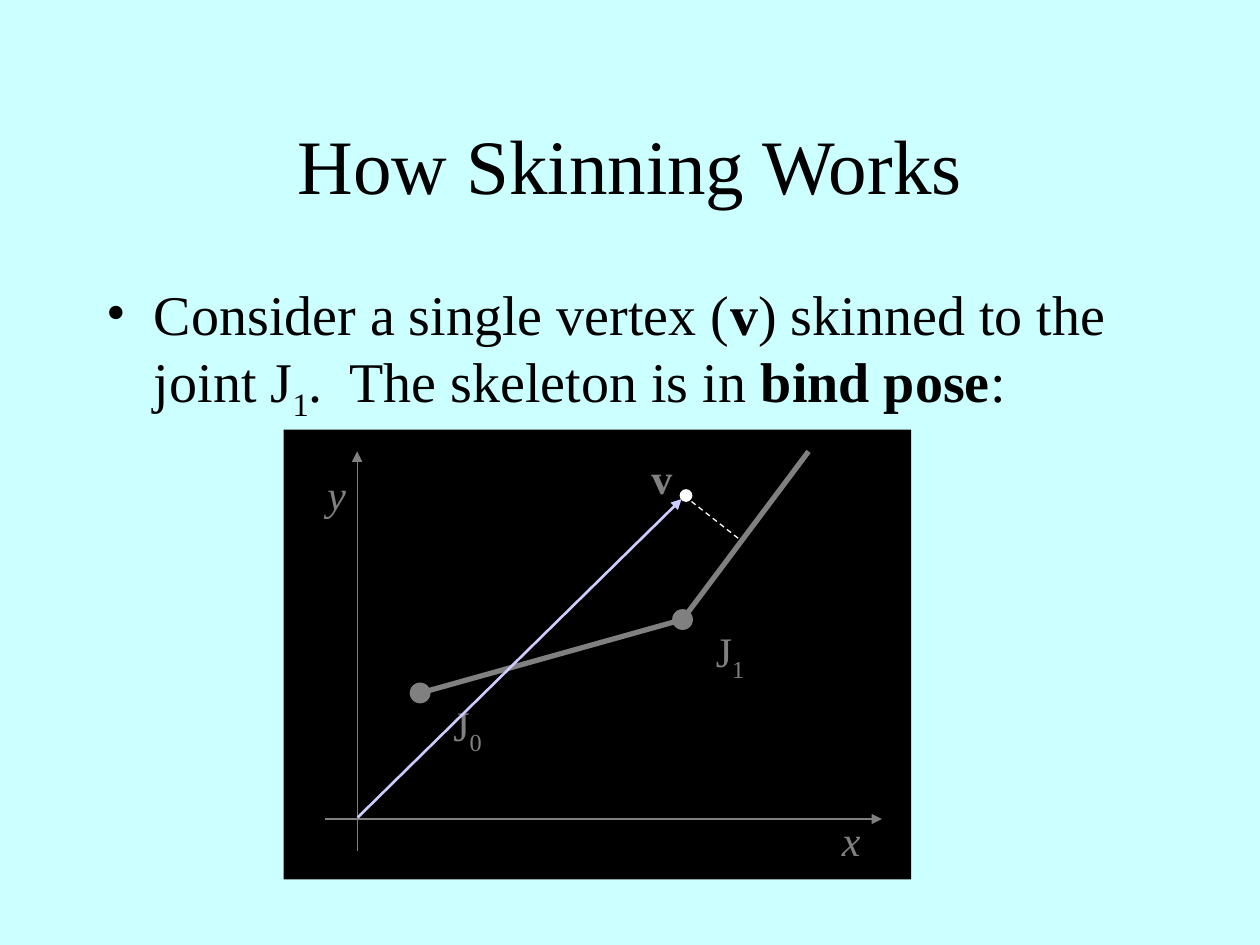
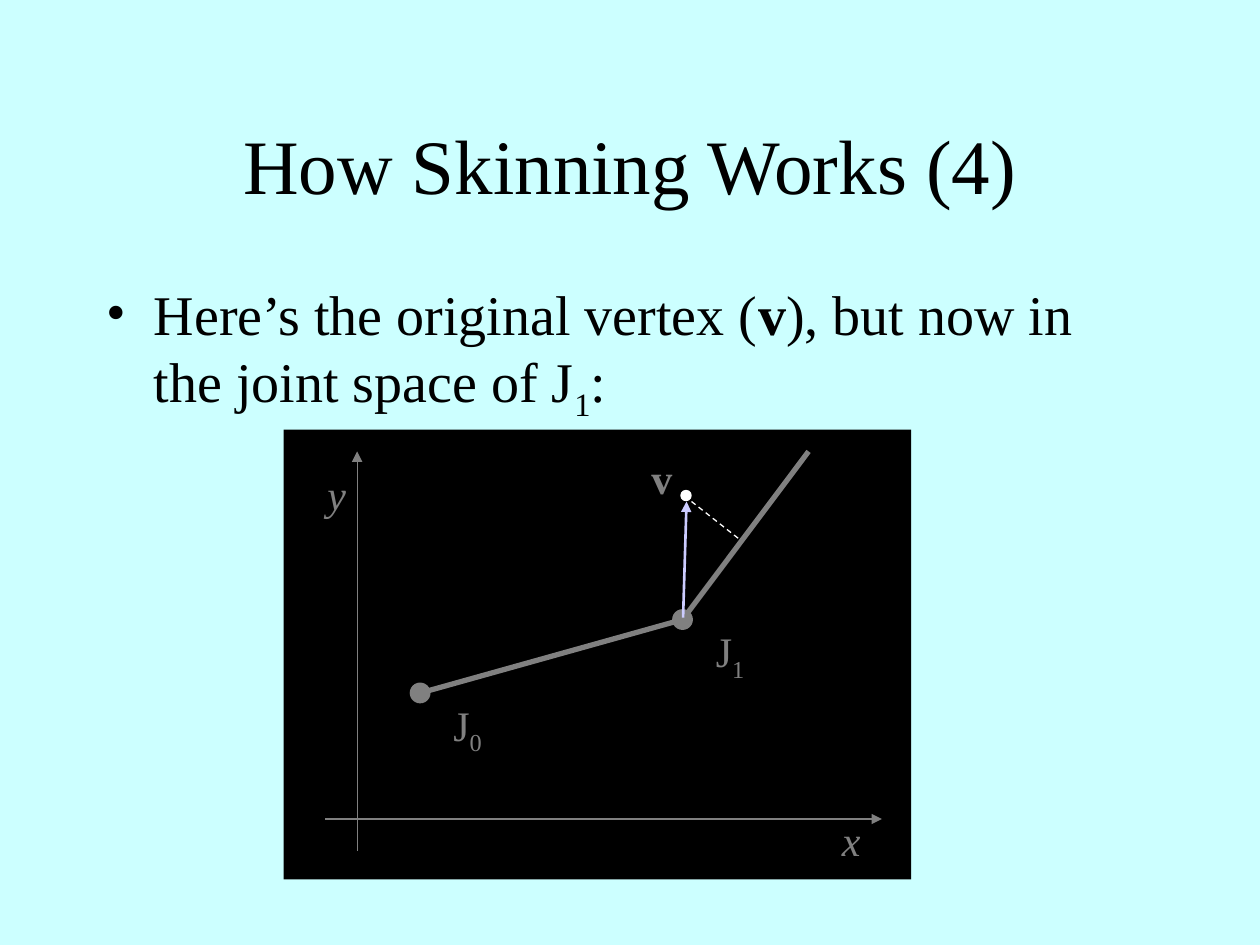
"""Build two slides on how a skinned vertex relates to its joint."""
import pptx
import pptx.dml.color
import pptx.enum.dml
import pptx.enum.shapes
import pptx.enum.text
import pptx.oxml
import pptx.oxml.ns
import pptx.util
from pptx.util import Cm

COLOURS = {"background": "CCFFFF", "panel": "000000", "text": "000000",
           "skeleton": "808080", "vertex": "FFFFFF", "vector": "CCCCFF"}
FONT = "Times New Roman"

SLIDES = [
    {"title": "How Skinning Works",
     "statement": [("Consider a single vertex (", ""), ("v", "bold"),
                   (") skinned to the joint J", ""), ("1", "sub"),
                   (".  The skeleton is in ", ""), ("bind pose", "bold"), (":", "")],
     "vector": ((7.21, 16.48), (13.74, 10.06)), "vertex_outline": True},
    {"title": "How Skinning Works (4)",
     "statement": [("Here’s the original vertex (", ""), ("v", "bold"),
                   ("), but now in the joint space of J", ""), ("1", "sub"), (":", "")],
     "vector": ((13.77, 12.45), (13.84, 10.11)), "vertex_outline": False},
]

TITLE_BOX = (1.9, 1.7, 21.6, 3.18)
STATEMENT_BOX = (1.9, 5.5, 21.6, 11.43)
PANEL_BOX = (5.72, 8.66, 12.65, 9.07)
AXES = [((7.2, 17.15), (7.2, 9.1)), ((6.56, 16.51), (17.78, 16.51))]
JOINTS = [(8.47, 13.97), (13.76, 12.49)]
BONE_END = (16.3, 9.1)
VERTEX = (13.83, 9.99)
OFFSET = ((13.94, 10.11), (14.88, 10.85))
LABELS = [
    ((14.18, 12.49), [("J", ""), ("1", "sub")]),
    ((8.89, 13.97), [("J", ""), ("0", "sub")]),
    ((6.35, 9.31), [("y", "italic")]),
    ((16.72, 16.3), [("x", "italic")]),
    ((12.88, 9.0), [("v", "bold")]),
]


def rgb(name):
    return pptx.dml.color.RGBColor.from_string(COLOURS[name])


def add_xml(parent, tag, **attributes):
    element = pptx.oxml.parse_xml(f"<a:{tag} {pptx.oxml.ns.nsdecls('a')}/>")
    for key, value in attributes.items():
        element.set(key, value)
    parent.append(element)


def write(holder, runs, *, size, colour="text", align="LEFT", anchor="TOP", bullet=False):
    frame = holder.text_frame
    frame.word_wrap = True
    frame.auto_size = pptx.enum.text.MSO_AUTO_SIZE.NONE
    frame.vertical_anchor = getattr(pptx.enum.text.MSO_ANCHOR, anchor)
    paragraph = frame.paragraphs[0]
    if bullet:
        properties = paragraph._p.get_or_add_pPr()
        properties.set("marL", str(Cm(0.95)))
        properties.set("indent", str(-Cm(0.95)))
        add_xml(properties, "buFont", typeface=FONT)
        add_xml(properties, "buChar", char="•")
    paragraph.alignment = getattr(pptx.enum.text.PP_ALIGN, align)
    paragraph.space_before = pptx.util.Pt(0)
    for text, style in runs:
        run = paragraph.add_run()
        run.text = text
        run.font.name = FONT
        run.font.size = pptx.util.Pt(size)
        run.font.color.rgb = rgb(colour)
        run.font.bold = style == "bold"
        run.font.italic = style == "italic"
        if style == "sub":
            run._r.get_or_add_rPr().set("baseline", "-25000")


def place(holder, box):
    holder.left, holder.top, holder.width, holder.height = map(Cm, box)


def add_solid(slide, kind, box, colour, outlined=False):
    preset = getattr(pptx.enum.shapes.MSO_SHAPE, kind)
    solid = slide.shapes.add_shape(preset, *map(Cm, box))
    solid.shadow.inherit = False
    solid.fill.solid()
    solid.fill.fore_color.rgb = rgb(colour)
    if outlined:
        solid.line.color.rgb = rgb(colour)
        solid.line.width = pptx.util.Pt(0.75)
    else:
        solid.line.fill.background()


def add_dot(slide, centre, diameter, colour, outlined=False):
    x, y = centre
    box = (x - diameter / 2, y - diameter / 2, diameter, diameter)
    add_solid(slide, "OVAL", box, colour, outlined)


def add_line(slide, ends, colour, width, arrow=False, dashed=False):
    start, end = ends
    line = slide.shapes.add_connector(
        pptx.enum.shapes.MSO_CONNECTOR.STRAIGHT, *map(Cm, start + end))
    line.line.color.rgb = rgb(colour)
    line.line.width = pptx.util.Pt(width)
    if dashed:
        line.line.dash_style = pptx.enum.dml.MSO_LINE.DASH
    if arrow:
        add_xml(line.line._get_or_add_ln(), "tailEnd", type="triangle")
    add_xml(line._element.spPr, "effectLst")


def draw_skeleton(slide, vector, vertex_outline):
    add_solid(slide, "RECTANGLE", PANEL_BOX, "panel")
    for axis in AXES:
        add_line(slide, axis, "skeleton", 0.75, arrow=True)
    for bone in zip(JOINTS, JOINTS[1:] + [BONE_END]):
        add_line(slide, bone, "skeleton", 3)
    for joint in JOINTS:
        add_dot(slide, joint, 0.42, "skeleton")
    for position, runs in LABELS:
        label = slide.shapes.add_textbox(*map(Cm, position + (1.12, 1.27)))
        label.text_frame.margin_right = 0
        write(label, runs, size=24, colour="skeleton")
    add_dot(slide, VERTEX, 0.23, "vertex", vertex_outline)
    add_line(slide, OFFSET, "vertex", 0.75, dashed=True)
    add_line(slide, vector, "vector", 1.5, arrow=True)


def main():
    deck = pptx.Presentation()
    deck.slide_width, deck.slide_height = Cm(25.4), Cm(19.05)
    backdrop = deck.slide_master.background.fill
    backdrop.solid()
    backdrop.fore_color.rgb = rgb("background")
    for content in SLIDES:
        slide = deck.slides.add_slide(deck.slide_layouts.get_by_name("Title and Content"))
        title, statement = slide.placeholders
        place(title, TITLE_BOX)
        write(title, [(content["title"], "")], size=44, align="CENTER", anchor="MIDDLE")
        place(statement, STATEMENT_BOX)
        write(statement, content["statement"], size=32, bullet=True)
        draw_skeleton(slide, content["vector"], content["vertex_outline"])
    deck.save("out.pptx")


if __name__ == "__main__":
    main()
